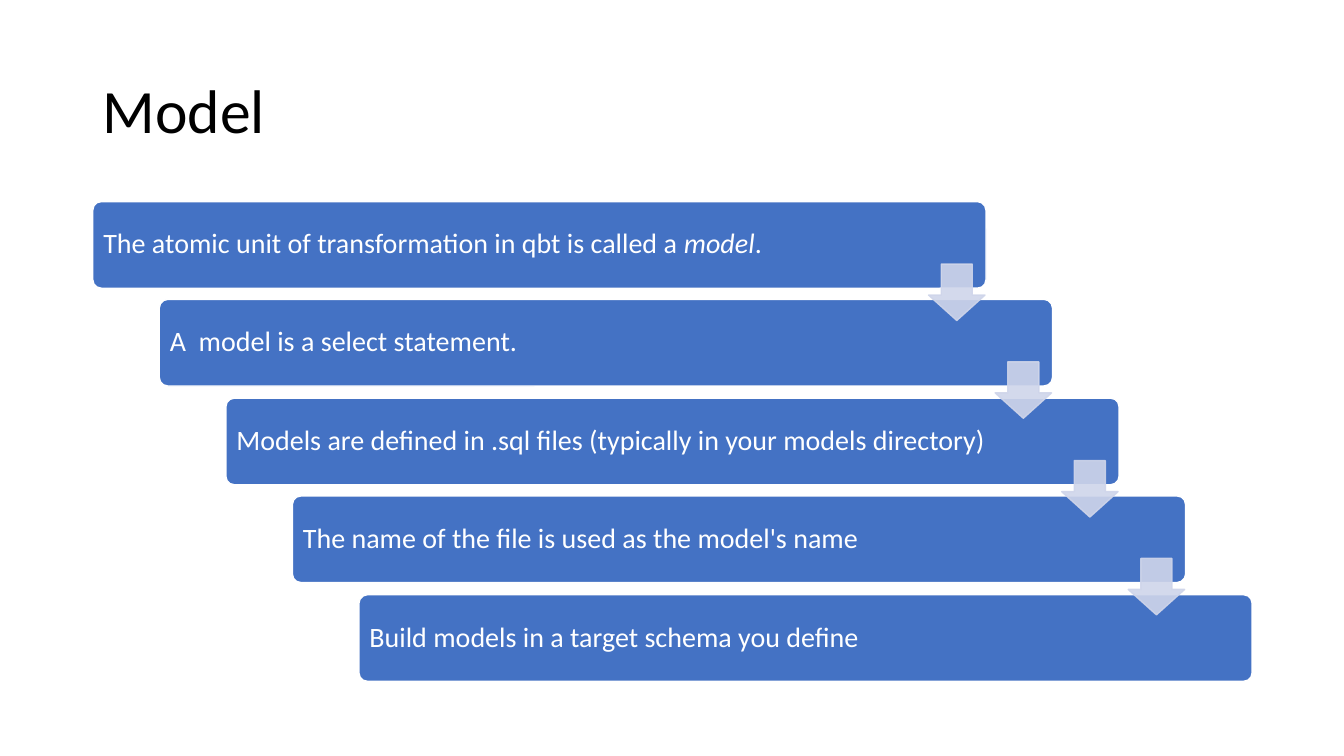
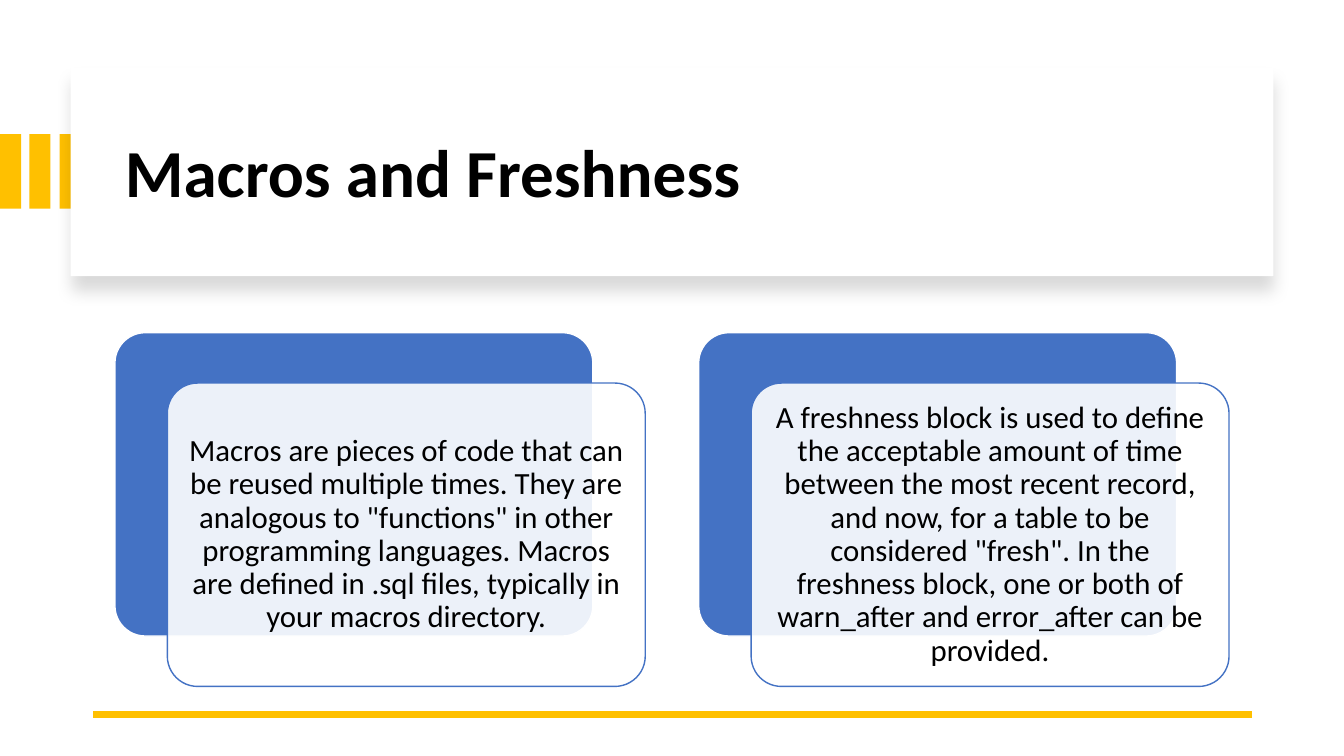
"""Builds two slides: a staircase of model facts and a pair of topic cards."""
from lxml.etree import SubElement
from pptx import Presentation
from pptx.dml.color import RGBColor
from pptx.enum.shapes import MSO_CONNECTOR, MSO_SHAPE
from pptx.enum.text import MSO_ANCHOR, PP_ALIGN
from pptx.oxml.ns import qn
from pptx.util import Emu, Pt

RECTANGLE, ROUNDED = MSO_SHAPE.RECTANGLE, MSO_SHAPE.ROUNDED_RECTANGLE
DOWN_ARROW, STRAIGHT = MSO_SHAPE.DOWN_ARROW, MSO_CONNECTOR.STRAIGHT
LEFT, CENTER, MIDDLE = PP_ALIGN.LEFT, PP_ALIGN.CENTER, MSO_ANCHOR.MIDDLE

BLACK = RGBColor(0x00, 0x00, 0x00)
WHITE = RGBColor(0xFF, 0xFF, 0xFF)
BLUE = RGBColor(0x44, 0x72, 0xC4)
PALE_BLUE = RGBColor(0xCF, 0xD5, 0xEA)
GOLD = RGBColor(0xFF, 0xC0, 0x00)
FONT = "Calibri"
PX = 9144
TITLE_INSETS = (10, 5, 10, 5)

STEPS = [
    ("The atomic unit of transformation in qbt is called a ", "model", "."),
    ("A  model is a select statement.",),
    ("Models are defined in .sql files (typically in your models directory)",),
    ("The name of the file is used as the model's name",),
    ("Build models in a target schema you define",),
]
CARDS = [
    "Macros are pieces of code that can be reused multiple times. They are analogous to "
    "\"functions\" in other programming languages. Macros are defined in .sql files, "
    "typically in your macros directory.",
    "A freshness block is used to define the acceptable amount of time between the most "
    "recent record, and now, for a table to be considered \"fresh\". In the freshness block, "
    "one or both of warn_after and error_after can be provided.",
]
STRIPE_LEFTS = (0, 29, 59)


def px(*lengths):
    """Turn pixel lengths into EMU."""
    return [Emu(length * PX) for length in lengths]


def write(shape, *pieces, size, color, bold=False, align=LEFT, insets=TITLE_INSETS):
    """Write one paragraph; every second piece is italic."""
    frame = shape.text_frame
    frame.word_wrap = True
    frame.vertical_anchor = MIDDLE
    (frame.margin_left, frame.margin_top,
     frame.margin_right, frame.margin_bottom) = px(*insets)
    para = frame.paragraphs[0]
    para.alignment = align
    para.line_spacing = 0.9
    for index, piece in enumerate(pieces):
        span = para.add_run()
        span.text = piece
        span.font.name = FONT
        span.font.size = Pt(size)
        span.font.bold = bold
        span.font.italic = index % 2 == 1
        span.font.color.rgb = color


def add_title(page, text, place, size, bold=False):
    """Add a slide title."""
    box = page.shapes.add_textbox(*px(*place))
    write(box, text, size=size, color=BLACK, bold=bold)


def add_block(page, kind, place, fill, line=None, adjustments=()):
    """Add a flat filled shape."""
    block = page.shapes.add_shape(kind, *px(*place))
    block.shadow.inherit = False
    block.fill.solid()
    block.fill.fore_color.rgb = fill
    if line is None:
        block.line.fill.background()
    else:
        block.line.color.rgb = line
        block.line.width = Pt(1)
    for index, value in enumerate(adjustments):
        block.adjustments[index] = value
    return block


def set_alpha(color, percent):
    """Set the opacity of a colour element."""
    SubElement(color, qn("a:alpha"), val=str(percent * 1000))


def add_drop_shadow(shape):
    """Add a soft shadow below a shape."""
    effects = shape._element.spPr.find(qn("a:effectLst"))
    shadow = SubElement(effects, qn("a:outerShdw"), blurRad=str(Pt(11)),
                        dist=str(Pt(10)), dir="5400000", rotWithShape="0")
    set_alpha(SubElement(shadow, qn("a:srgbClr"), val=str(BLACK)), 15)


def build_model(page):
    """Lay out the staircase of steps and its arrows."""
    add_title(page, "Model", (92, 40, 1150, 145), 44)
    corners = [(92 + 66 * index, 200 + 390 * index // 4) for index in range(len(STEPS))]
    for (left, top), pieces in zip(corners, STEPS):
        step = add_block(page, ROUNDED, (left, top, 886, 86), BLUE, WHITE, (0.1,))
        write(step, *pieces, size=20, color=WHITE, insets=(8, 8, 130, 8))
    for left, top in corners[:-1]:
        arrow = add_block(page, DOWN_ARROW, (left + 829, top + 62, 56, 56),
                          PALE_BLUE, PALE_BLUE, (0.55, 0.45))
        for color in arrow._element.spPr.xpath(".//a:srgbClr"):
            set_alpha(color, 90)


def build_macros(page):
    """Lay out the title panel, the rule and the two cards."""
    for left in STRIPE_LEFTS:
        add_block(page, RECTANGLE, (left, 133, 21, 74), GOLD)
    panel = add_block(page, RECTANGLE, (70, 67, 1193, 207), WHITE)
    add_drop_shadow(panel)
    add_title(page, "Macros and Freshness", (114, 89, 1113, 170), 48, bold=True)

    rule = page.shapes.add_connector(STRAIGHT, *px(1242, 709, 92, 709))
    rule.line.color.rgb = GOLD
    rule.line.width = Pt(4.5)
    SubElement(rule._element.spPr, qn("a:effectLst"))

    for index, text in enumerate(CARDS):
        left = 114 + 579 * index
        add_block(page, ROUNDED, (left, 330, 474, 301), BLUE, WHITE, (0.1,))
        card = add_block(page, ROUNDED, (left + 52, 380, 474, 301), WHITE, BLUE, (0.1,))
        set_alpha(card._element.spPr.xpath("./a:solidFill/a:srgbClr")[0], 90)
        write(card, text, size=22, color=BLACK, align=CENTER, insets=(9, 9, 9, 9))


def main():
    """Build and save the deck."""
    deck = Presentation()
    deck.slide_width, deck.slide_height = px(1333, 750)
    for build in (build_model, build_macros):
        build(deck.slides.add_slide(deck.slide_layouts[6]))
    deck.save("out.pptx")


if __name__ == "__main__":
    main()
